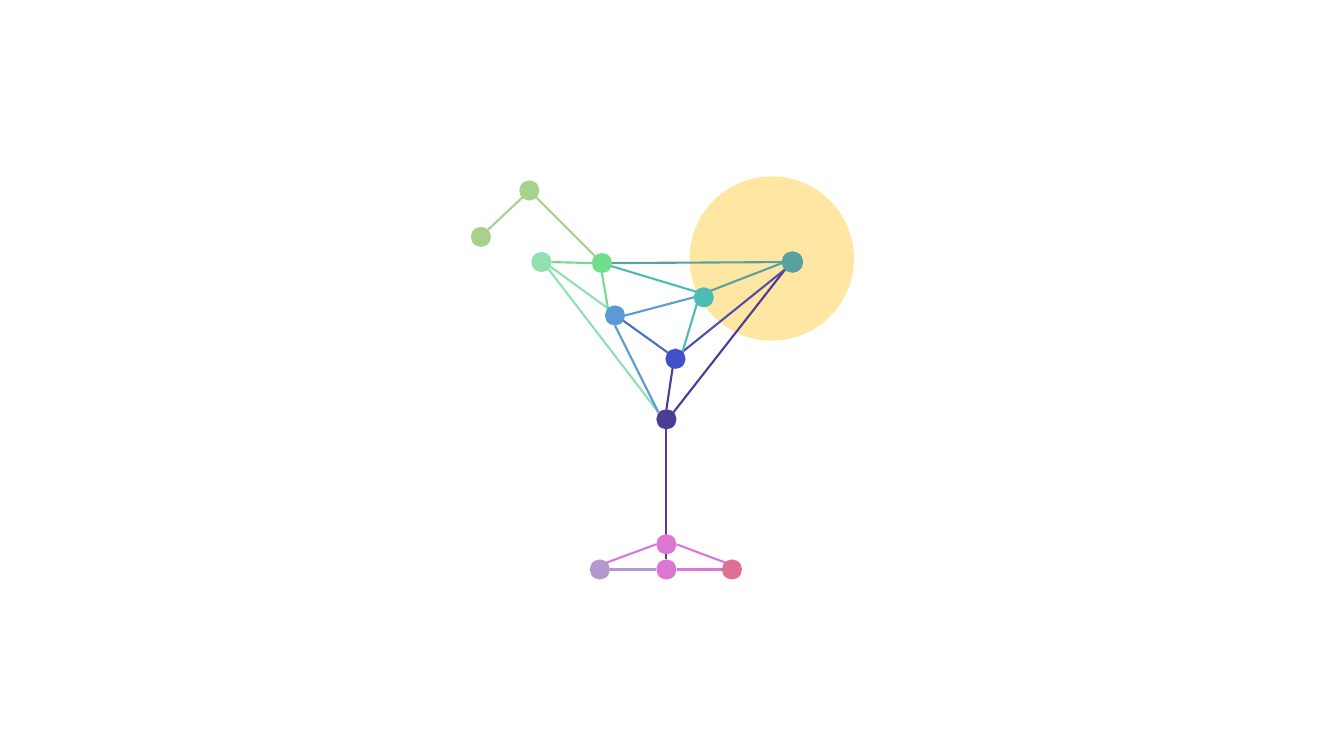
from lxml import etree
from pptx import Presentation
from pptx.dml.color import RGBColor
from pptx.enum import shapes as kinds
from pptx.oxml import ns
from pptx.util import Inches, Pt

SUN = RGBColor(0xFF, 0xE7, 0xA3)
LEAF = RGBColor(0xA9, 0xD1, 0x8E)
GREEN = RGBColor(0x71, 0xDD, 0x8D)
MINT = RGBColor(0x90, 0xE0, 0xB0)
TEAL = RGBColor(0x59, 0xA1, 0x9F)
AQUA = RGBColor(0x4D, 0xBB, 0xB6)
SKY = RGBColor(0x5B, 0x9B, 0xD5)
DENIM = RGBColor(0x4A, 0x71, 0xBE)
BLUE = RGBColor(0x40, 0x50, 0xC8)
VIOLET = RGBColor(0x4F, 0x50, 0xA8)
INDIGO = RGBColor(0x4D, 0x3C, 0x94)
PURPLE = RGBColor(0x68, 0x32, 0x92)
LILAC = RGBColor(0xB3, 0x9A, 0xCE)
ORCHID = RGBColor(0xDC, 0x76, 0xD5)
ROSE = RGBColor(0xDE, 0x70, 0x92)

NODE = 0.2


def disc(glass, left, top, size, color):
    circle = glass.shapes.add_shape(
        kinds.MSO_SHAPE.OVAL, Inches(left), Inches(top), Inches(size), Inches(size))
    circle.shadow.inherit = False
    circle.fill.solid()
    circle.fill.fore_color.rgb = color
    circle.line.fill.background()
    return circle


def network(glass, box, edges, nodes):
    left, top = box
    for x1, y1, x2, y2, color in edges:
        edge = glass.shapes.add_connector(
            kinds.MSO_CONNECTOR.STRAIGHT,
            Inches(left + x1), Inches(top + y1), Inches(left + x2), Inches(top + y2))
        edge.line.color.rgb = color
        edge.line.width = Pt(1.5)
        etree.SubElement(edge._element.spPr, ns.qn("a:effectLst"))
    return [disc(glass, left + x, top + y, NODE, color) for x, y, color in nodes]


def draw_sun(glass, box):
    disc(glass, *box, 1.63, SUN)


def draw_straw(glass, box):
    edges = [
        (0.17, 0.49, 0.51, 0.17, LEAF),
        (0.65, 0.17, 1.23, 0.75, LEAF),
    ]
    network(glass, box, edges, [(0.48, 0, LEAF), (0, 0.46, LEAF)])


def draw_bowl(glass, box):
    edges = [
        (0.6, 0.11, 0.2, 0.1, GREEN),
        (0.8, 0.11, 2.49, 0.1, TEAL),
        (0.17, 0.17, 1.26, 1.59, MINT),
        (1.41, 1.59, 2.52, 0.17, INDIGO),
        (0.03, 0.03, 0.76, 0.56, MINT),
        (0.84, 0.63, 1.44, 1.06, DENIM),
        (1.72, 0.42, 0.66, 0.1, AQUA),
        (0.93, 0.63, 1.61, 0.45, SKY),
        (1.61, 0.45, 2.59, 0.07, TEAL),
        (1.43, 0.96, 1.34, 1.56, INDIGO),
        (1.5, 0.99, 2.52, 0.17, VIOLET),
        (1.64, 0.52, 1.5, 0.99, AQUA),
        (0.7, 0.21, 0.76, 0.56, GREEN),
        (0.83, 0.73, 1.26, 1.59, SKY),
    ]
    nodes = [
        (0, 0, MINT),
        (2.49, 0, TEAL),
        (1.24, 1.56, INDIGO),
        (0.73, 0.53, SKY),
        (1.61, 0.35, AQUA),
        (1.33, 0.96, BLUE),
        (0.6, 0.01, GREEN),
    ]
    rim = network(glass, box, edges, nodes)[1]
    rim.line.color.rgb = TEAL
    rim.line.width = Pt(1)


def draw_stem_and_foot(glass, box):
    edges = [
        (0.76, 0, 0.76, 1.29, PURPLE),
        (0.2, 1.39, 0.66, 1.39, LILAC),
        (0.86, 1.39, 1.31, 1.39, ORCHID),
        (0.66, 1.14, 0.17, 1.32, ORCHID),
        (0.86, 1.14, 1.34, 1.32, ORCHID),
    ]
    nodes = [
        (0.66, 1.29, ORCHID),
        (1.31, 1.29, ROSE),
        (0, 1.29, LILAC),
        (0.66, 1.04, ORCHID),
    ]
    network(glass, box, edges, nodes)


def main():
    deck = Presentation()
    deck.slide_width = Inches(13.33)
    deck.slide_height = Inches(7.5)
    slide = deck.slides.add_slide(deck.slide_layouts[6])
    cocktail = slide.shapes.add_group_shape()
    draw_sun(cocktail, (6.84, 1.75))
    draw_straw(cocktail, (4.67, 1.79))
    draw_bowl(cocktail, (5.27, 2.5))
    draw_stem_and_foot(cocktail, (5.85, 4.26))
    deck.save("out.pptx")


if __name__ == "__main__":
    main()
